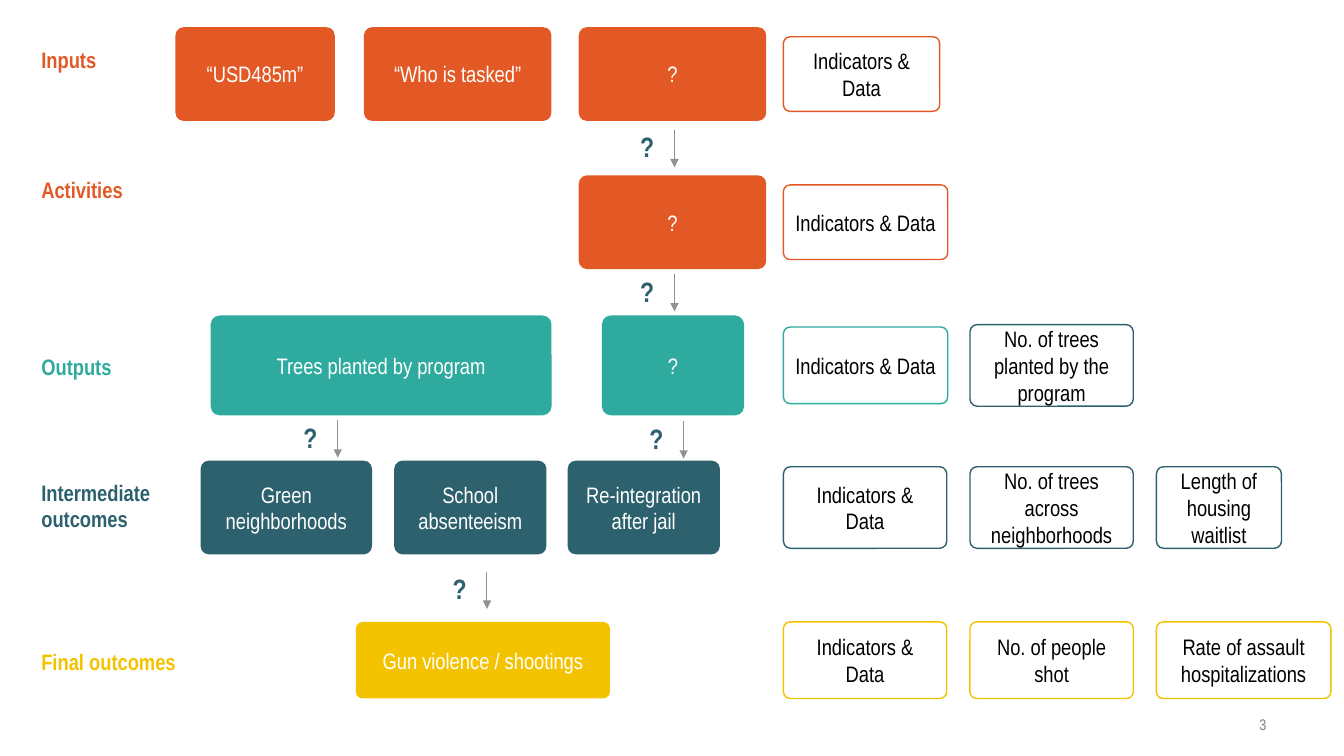
from collections import namedtuple

from lxml.etree import SubElement
from pptx import Presentation
from pptx.dml.color import RGBColor
from pptx.enum.shapes import MSO_CONNECTOR, MSO_SHAPE
from pptx.enum.text import MSO_ANCHOR, PP_ALIGN
from pptx.oxml.ns import qn
from pptx.util import Inches, Pt

Box = namedtuple("Box", "left top width height")
Stage = namedtuple("Stage", "label label_width label_drop top height colour steps indicators")

SLIDE_WIDTH, SLIDE_HEIGHT = 13.33, 7.5
FONT = "Arial Narrow"
ORANGE, TEAL, NAVY, YELLOW = "E35925", "2FAA9F", "2D616E", "F4C300"
WHITE, BLACK, ARROW_GREY, NUMBER_GREY = "FFFFFF", "000000", "919191", "7F7F7F"
LABEL_LEFT = 0.41
INDICATOR_LEFT, INDICATOR_PITCH = 7.77, 1.85
ARROW_LENGTH = 0.37
INDICATORS = "Indicators & Data"

STAGES = [
    Stage("Inputs", 1.41, 0.14, 0.27, 0.93, ORANGE,
          [(1.74, 1.58, "“USD485m”"), (3.61, 1.86, "“Who is tasked”"), (5.74, 1.86, "?")],
          [(1.55, 0.74, ORANGE, INDICATORS)]),
    Stage("Activities", 1.41, -0.04, 1.74, 0.93, ORANGE,
          [(5.74, 1.86, "?")],
          [(1.63, 0.74, ORANGE, INDICATORS)]),
    Stage("Outputs", 1.41, 0.32, 3.13, 0.99, TEAL,
          [(2.09, 3.38, "Trees planted by program"), (5.97, 1.41, "?")],
          [(1.63, 0.76, TEAL, INDICATORS),
           (1.62, 0.81, NAVY, "No. of trees planted by the program")]),
    Stage("Intermediate outcomes", 1.92, 0.13, 4.57, 0.93, NAVY,
          [(1.99, 1.7, "Green\vneighborhoods"), (3.91, 1.51, "School\vabsenteeism"),
           (5.63, 1.51, "Re-integration after jail")],
          [(1.62, 0.81, NAVY, INDICATORS),
           (1.62, 0.81, NAVY, "No. of trees across neighborhoods"),
           (1.24, 0.81, NAVY, "Length of housing waitlist")]),
    Stage("Final outcomes", 2.67, 0.21, 6.17, 0.76, YELLOW,
          [(3.53, 2.52, "Gun violence / shootings")],
          [(1.62, 0.76, YELLOW, INDICATORS),
           (1.62, 0.76, YELLOW, "No. of people shot"),
           (1.73, 0.76, YELLOW, "Rate of assault hospitalizations")]),
]

LINKS = [(6.69, 1.29), (6.69, 2.72), (3.35, 4.17), (6.78, 4.18), (4.83, 5.67)]


def paint(colour_format, colour):
    """Give a fill, line or font colour its hex value."""
    colour_format.rgb = RGBColor.from_string(colour)


def inches(box):
    """Turn a box into slide lengths."""
    return [Inches(length) for length in box]


def write(frame, text, colour, size=16, bold=False, align=PP_ALIGN.CENTER, side=0.1):
    """Fill a text frame with one styled paragraph."""
    frame.word_wrap = True
    frame.margin_left = frame.margin_right = Inches(side)
    paragraph = frame.paragraphs[0]
    paragraph.text = text
    paragraph.alignment = align
    font = paragraph.font
    font.name, font.size, font.bold = FONT, Pt(size), bold
    paint(font.color, colour)


def add_caption(slide, box, text, colour, **style):
    """Place a plain text box."""
    write(slide.shapes.add_textbox(*inches(box)).text_frame, text, colour, **style)


def add_card(slide, box, text, text_colour, fill=None, outline=None):
    """Place a rounded card, either filled or outlined."""
    card = slide.shapes.add_shape(MSO_SHAPE.ROUNDED_RECTANGLE, *inches(box))
    card.adjustments[0] = 0.088
    card.shadow.inherit = False
    if fill:
        card.fill.solid()
        paint(card.fill.fore_color, fill)
    else:
        card.fill.background()
    if outline:
        paint(card.line.color, outline)
        card.line.width = Pt(1)
    else:
        card.line.fill.background()
    card.text_frame.vertical_anchor = MSO_ANCHOR.MIDDLE
    write(card.text_frame, text, text_colour)


def add_stage(slide, stage, row):
    """Place the label, steps and indicators of one stage in its row."""
    label_height = 0.64 if stage.label_width == 1.92 else 0.37
    label_box = Box(row.left + LABEL_LEFT, row.top + stage.label_drop,
                    stage.label_width, label_height)
    add_caption(slide, label_box, stage.label, stage.colour,
                bold=True, align=PP_ALIGN.LEFT, side=0)
    for left, width, text in stage.steps:
        add_card(slide, Box(row.left + left, row.top, width, row.height),
                 text, WHITE, fill=stage.colour)
    for column, (width, height, colour, text) in enumerate(stage.indicators):
        box = Box(row.left + INDICATOR_LEFT + column * INDICATOR_PITCH,
                  row.top + (row.height - height) / 2, width, height)
        add_card(slide, box, text, BLACK, outline=colour)


def add_link(slide, x, top):
    """Place a down arrow with its question mark on the left."""
    add_caption(slide, Box(x - 0.55, top - 0.05, 0.56, 0.44), "?", NAVY, size=20, bold=True)
    arrow = slide.shapes.add_connector(
        MSO_CONNECTOR.STRAIGHT, *inches((x, top, x, top + ARROW_LENGTH)))
    paint(arrow.line.color, ARROW_GREY)
    arrow.line.width = Pt(0.75)
    SubElement(arrow.line._get_or_add_ln(), qn("a:tailEnd"), type="triangle")
    SubElement(arrow._element.spPr, qn("a:effectLst"))


def main():
    """Build the results chain slide."""
    deck = Presentation()
    deck.slide_width, deck.slide_height = Inches(SLIDE_WIDTH), Inches(SLIDE_HEIGHT)
    slide = deck.slides.add_slide(deck.slide_layouts[6])
    for stage in STAGES:
        add_stage(slide, stage, Box(0, stage.top, SLIDE_WIDTH, stage.height))
    for x, top in LINKS:
        add_link(slide, x, top)
    add_caption(slide, Box(11.42, 7.05, 1.24, 0.24), "3", NUMBER_GREY,
                size=11, align=PP_ALIGN.RIGHT)
    deck.save("out.pptx")


if __name__ == "__main__":
    main()
